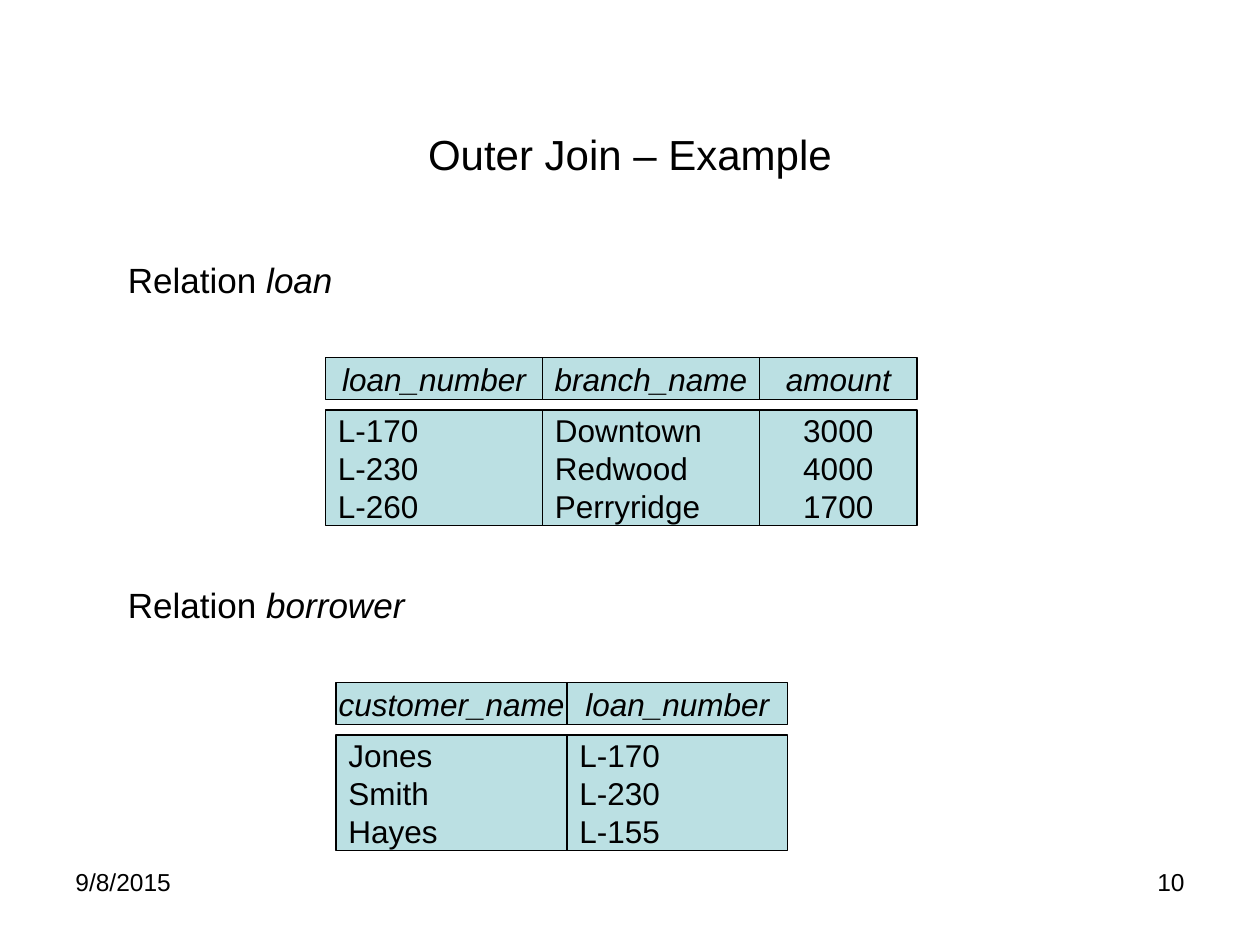
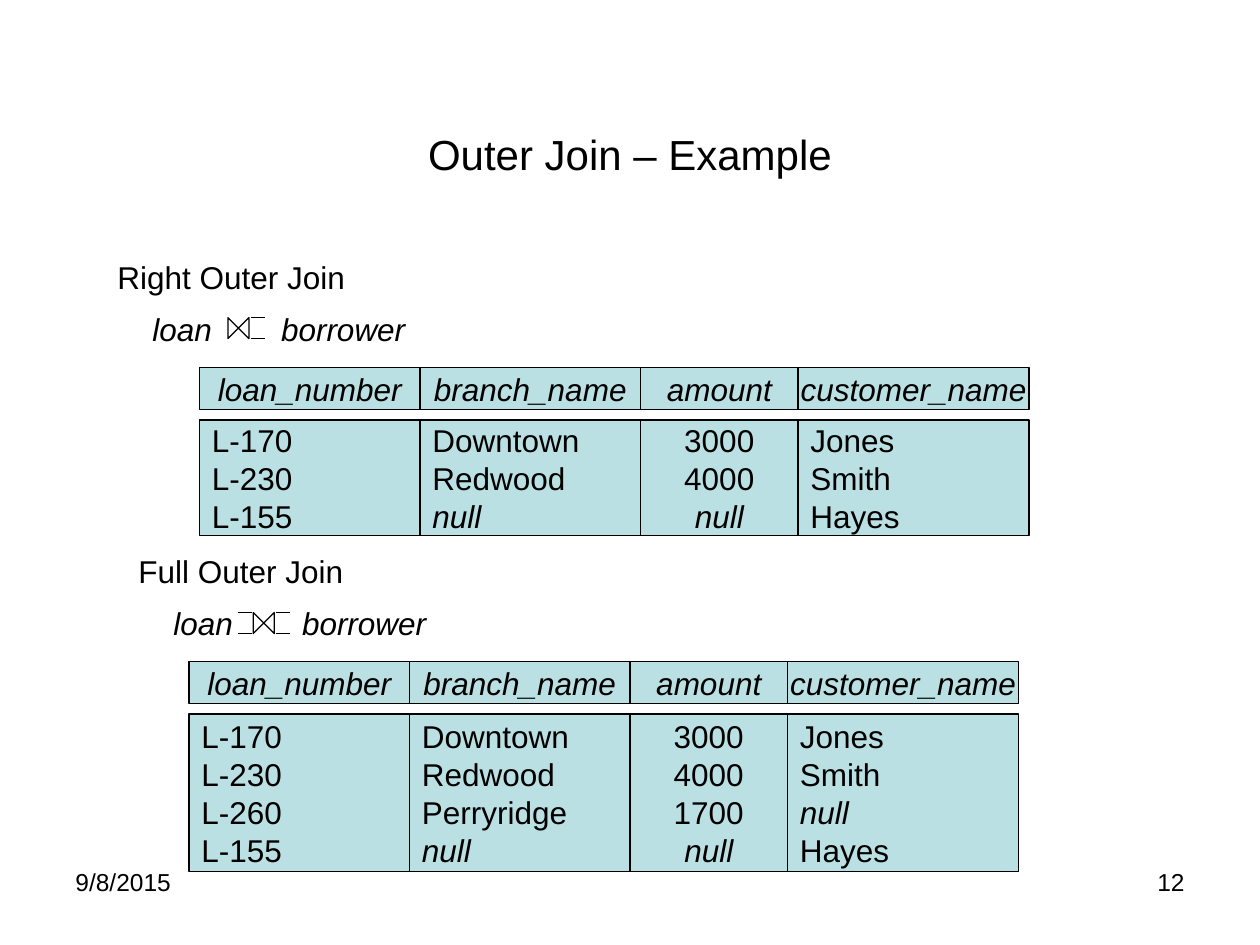
from itertools import accumulate

from lxml import etree
from pptx import Presentation
from pptx.dml.color import RGBColor
from pptx.enum.shapes import MSO_CONNECTOR as Connector, MSO_SHAPE as Shape
from pptx.enum.text import MSO_ANCHOR as Anchor, PP_ALIGN as Align
from pptx.oxml.ns import qn
from pptx.util import Pt

INK = "000000"
CELL_FILL = "BBE0E3"
FONT = "Arial"
LINE_WIDTH = 0.75
HEADER_HEIGHT = 24
BODY_OFFSET = 30
BOWTIE = 12
ARM_GAP, ARM_LENGTH = 1, 8
JOIN_TABS = (20, 93.5)

COLUMN_WIDTHS = {
    "loan_number": 126,
    "branch_name": 126,
    "amount": 90,
    "customer_name": 132,
}
LOAN = {
    "loan_number": ["L-170", "L-230", "L-260"],
    "branch_name": ["Downtown", "Redwood", "Perryridge"],
    "amount": ["3000", "4000", "1700"],
}
BORROWER = {
    "customer_name": ["Jones", "Smith", "Hayes"],
    "loan_number": ["L-170", "L-230", "L-155"],
}
RIGHT_JOIN = {
    "loan_number": ["L-170", "L-230", "L-155"],
    "branch_name": ["Downtown", "Redwood", "null"],
    "amount": ["3000", "4000", "null"],
    "customer_name": ["Jones", "Smith", "Hayes"],
}
FULL_JOIN = {
    "loan_number": ["L-170", "L-230", "L-260", "L-155"],
    "branch_name": ["Downtown", "Redwood", "Perryridge", "null"],
    "amount": ["3000", "4000", "1700", "null"],
    "customer_name": ["Jones", "Smith", "null", "Hayes"],
}


def color(hex_value):
    return RGBColor.from_string(hex_value)


def set_format(target, values):
    for name, value in values.items():
        setattr(target, name, value)


def add_run(paragraph, text, size, italic=False):
    run = paragraph.add_run()
    run.text = text
    set_format(run.font, {"name": FONT, "size": Pt(size), "italic": italic})
    run.font.color.rgb = color(INK)


def write_paragraphs(frame, paragraphs, size, align=Align.LEFT, space=0):
    for index, runs in enumerate(paragraphs):
        paragraph = frame.add_paragraph() if index else frame.paragraphs[0]
        set_format(paragraph, {"alignment": align, "space_before": Pt(space)})
        for text, italic in runs:
            add_run(paragraph, text, size, italic)


def add_text(slide, box, paragraphs, size, align=Align.LEFT, space=0, anchor=Anchor.TOP):
    frame = slide.shapes.add_textbox(*map(Pt, box)).text_frame
    set_format(frame, {"word_wrap": True, "vertical_anchor": anchor})
    write_paragraphs(frame, paragraphs, size, align, space)
    return frame


def add_outlined_shape(slide, kind, box, fill=None):
    shape = slide.shapes.add_shape(kind, *map(Pt, box))
    shape.shadow.inherit = False
    shape.line.width = Pt(LINE_WIDTH)
    shape.line.color.rgb = color(INK)
    if fill:
        shape.fill.solid()
        shape.fill.fore_color.rgb = color(fill)
    else:
        shape.fill.background()
    return shape


def add_cell(slide, box, paragraphs, align):
    frame = add_outlined_shape(slide, Shape.RECTANGLE, box, CELL_FILL).text_frame
    set_format(frame, {"word_wrap": False, "vertical_anchor": Anchor.MIDDLE})
    write_paragraphs(frame, paragraphs, 18, align)


def add_relation(slide, left, top, relation, body_height, column_widths=COLUMN_WIDTHS):
    widths = [column_widths[name] for name in relation]
    lefts = accumulate(widths[:-1], initial=left)
    for (name, values), x, width in zip(relation.items(), lefts, widths):
        add_cell(slide, (x, top, width, HEADER_HEIGHT), [[(name, True)]], Align.CENTER)
        align = Align.CENTER if name == "amount" else Align.LEFT
        rows = [[(value, value == "null")] for value in values]
        add_cell(slide, (x, top + BODY_OFFSET, width, body_height), rows, align)


def add_line(slide, x, y, length):
    line = slide.shapes.add_connector(
        Connector.STRAIGHT, Pt(x), Pt(y), Pt(x + length), Pt(y))
    line.line.width = Pt(LINE_WIDTH)
    line.line.color.rgb = color(INK)
    etree.SubElement(line._element.spPr, qn("a:effectLst"))


def add_join_symbol(slide, left, top, full=False):
    bowtie = add_outlined_shape(
        slide, Shape.FLOWCHART_COLLATE, (left, top, BOWTIE, BOWTIE))
    bowtie.rotation = 270
    arms = [left + BOWTIE + ARM_GAP]
    if full:
        arms.append(left - ARM_GAP - ARM_LENGTH)
    for x in arms:
        for y in (top, top + BOWTIE):
            add_line(slide, x, y, ARM_LENGTH)


def add_join_heading(slide, left, top, name):
    paragraphs = [[(name, False)], [("\tloan\tborrower", True)]]
    frame = add_text(slide, (left, top, 320, 58), paragraphs, 18, space=7.9)
    properties = frame.paragraphs[1]._p.get_or_add_pPr()
    stops = etree.SubElement(properties, qn("a:tabLst"))
    for position in JOIN_TABS:
        etree.SubElement(stops, qn("a:tab"), pos=str(Pt(position)), algn="l")


def add_relation_heading(slide, top, name, space):
    runs = [("Relation ", False), (name, True)]
    add_text(slide, (66, top, 540, 38), [runs], 20, space=space)


def add_example_slide(presentation, number):
    slide = presentation.slides.add_slide(presentation.slide_layouts[6])
    add_text(slide, (36, 64, 648, 48), [[("Outer Join – Example", False)]], 24,
             Align.CENTER, anchor=Anchor.MIDDLE)
    add_text(slide, (516, 492, 168, 37), [[(number, False)]], 14, Align.RIGHT)
    add_text(slide, (36, 492, 168, 37), [[("9/8/2015", False)]], 14)
    return slide


def main():
    presentation = Presentation()
    set_format(presentation, {"slide_width": Pt(720), "slide_height": Pt(540)})

    relations = add_example_slide(presentation, "10")
    add_relation_heading(relations, 144, "loan", 5)
    loan_widths = COLUMN_WIDTHS | {"loan_number": 124, "branch_name": 124}
    add_relation(relations, 186, 204.25, LOAN, 66, loan_widths)
    add_relation_heading(relations, 330, "borrower", 8.8)
    add_relation(relations, 192, 390, BORROWER, 66)

    joins = add_example_slide(presentation, "12")
    add_join_heading(joins, 60, 144, "Right Outer Join")
    add_join_symbol(joins, 130.25, 181.5)
    add_relation(joins, 114, 210, RIGHT_JOIN, 66)
    add_join_heading(joins, 72, 312, "Full Outer Join")
    add_join_symbol(joins, 144.75, 350, full=True)
    add_relation(joins, 108, 378, FULL_JOIN, 90)

    presentation.save("out.pptx")


if __name__ == "__main__":
    main()
